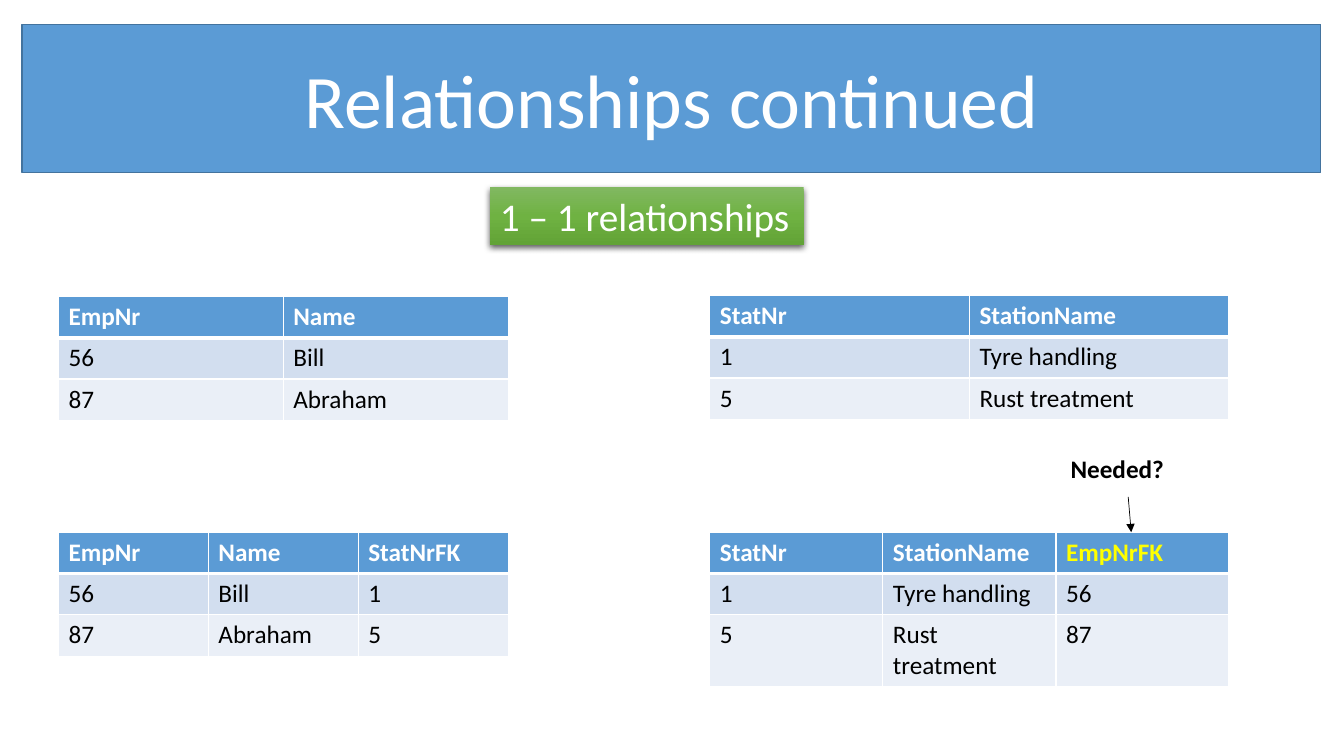
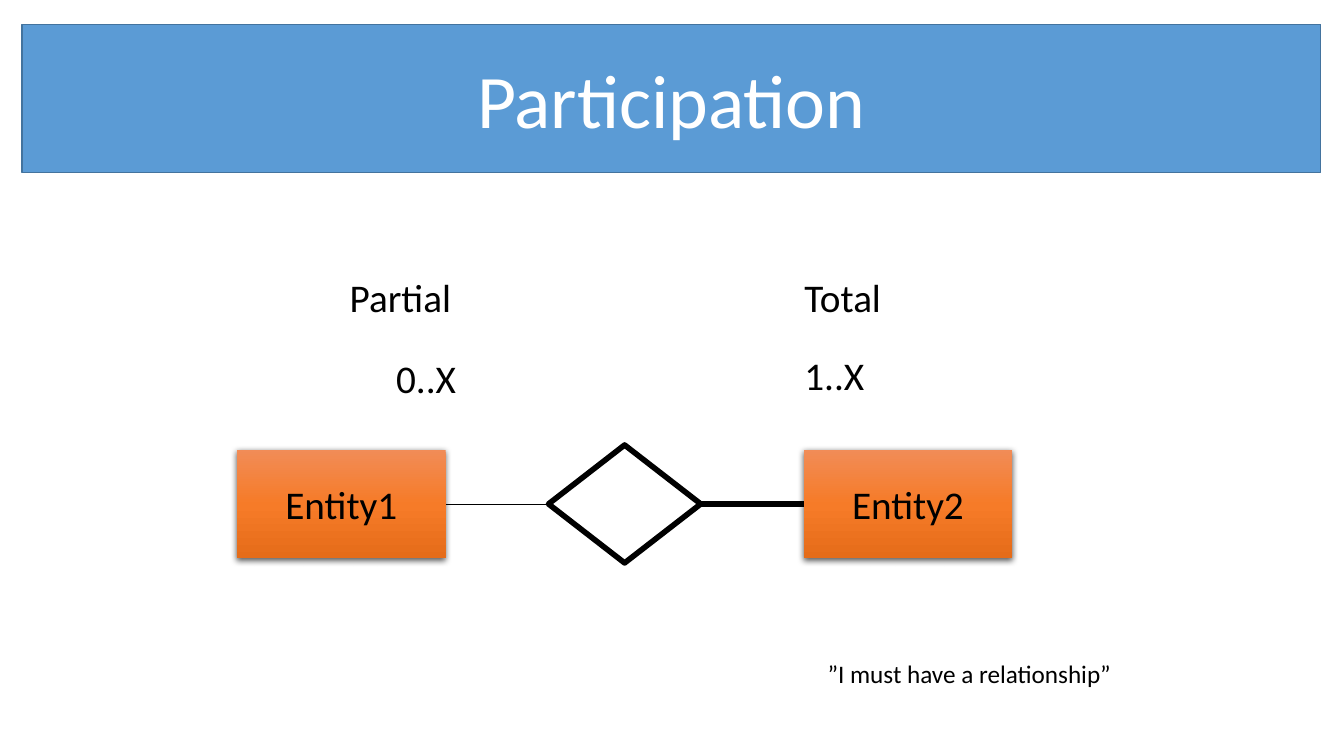
from copy import deepcopy

from pptx import Presentation
from pptx.dml.color import RGBColor
from pptx.enum.shapes import MSO_CONNECTOR, MSO_SHAPE
from pptx.enum.text import MSO_ANCHOR, PP_ALIGN
from pptx.oxml import parse_xml
from pptx.oxml.ns import nsdecls, qn
from pptx.util import Inches, Pt

WHITE = RGBColor(0xFF, 0xFF, 0xFF)
BLACK = RGBColor(0x00, 0x00, 0x00)
BLUE = RGBColor(0x5B, 0x9B, 0xD5)
EDGE = RGBColor(0x43, 0x73, 0x9E)
YELLOW = RGBColor(0xFF, 0xFF, 0x00)
BANDS = [RGBColor(0xD2, 0xDE, 0xEF), RGBColor(0xEA, 0xEF, 0xF7)]
GREENS = [RGBColor(0x81, 0xB8, 0x61), RGBColor(0x6F, 0xB2, 0x42),
          RGBColor(0x62, 0xA3, 0x36)]
ORANGES = [RGBColor(0xF1, 0x8C, 0x57), RGBColor(0xF6, 0x7B, 0x28),
           RGBColor(0xE5, 0x6C, 0x19)]

FONT = "Calibri"
ROW = 0.41
TITLE_ONLY = 5
RECT = MSO_SHAPE.RECTANGLE
DIAMOND = MSO_SHAPE.FLOWCHART_DECISION
STRAIGHT = MSO_CONNECTOR.STRAIGHT
CENTER = PP_ALIGN.CENTER
MIDDLE = MSO_ANCHOR.MIDDLE


def write(frame, text, size, color=BLACK, bold=False, align=None):
    par = frame.paragraphs[0]
    par.alignment = align
    run = par.add_run()
    run.text = text
    font = run.font
    font.name, font.size, font.bold = FONT, Pt(size), bold
    font.color.rgb = color


def new_slide(deck, text):
    """Add a slide with its title in the blue band."""
    slide = deck.slides.add_slide(deck.slide_layouts[TITLE_ONLY])
    title = slide.shapes.title
    title.left, title.top = Inches(0.22), Inches(0.24)
    title.width, title.height = Inches(12.88), Inches(1.47)
    title.fill.solid()
    title.fill.fore_color.rgb = BLUE
    title.line.color.rgb = EDGE
    title.line.width = Pt(1)
    title.text_frame.vertical_anchor = MIDDLE
    write(title.text_frame, text, 54, WHITE, align=CENTER)
    return slide


def label(slide, text, x, y, w, h=0.57, size=28, color=BLACK, bold=False):
    box = slide.shapes.add_textbox(Inches(x), Inches(y), Inches(w), Inches(h))
    box.text_frame.word_wrap = False
    write(box.text_frame, text, size, color, bold)
    return box


def gloss(shape, colors):
    """Give a shape a three-stop vertical gradient and a soft shadow."""
    shape.fill.gradient()
    shape.fill.gradient_angle = 270
    props = shape.element.spPr
    stops = props.find(qn("a:gradFill")).find(qn("a:gsLst"))
    stops.insert(1, deepcopy(stops[0]))
    for stop, color, place in zip(shape.fill.gradient_stops, colors, (0, 0.5, 1)):
        stop.color.rgb = color
        stop.position = place
    shape.line.fill.background()
    shape.shadow.inherit = False
    props.find(qn("a:effectLst")).append(parse_xml(
        f'<a:outerShdw {nsdecls("a")} blurRad="{Pt(4.5)}" dist="{Pt(1.5)}" '
        'dir="5400000" algn="ctr" rotWithShape="0"><a:srgbClr val="000000">'
        '<a:alpha val="63000"/></a:srgbClr></a:outerShdw>'))


def link(slide, x1, y1, x2, y2, width=0.5, arrow=False):
    line = slide.shapes.add_connector(
        STRAIGHT, Inches(x1), Inches(y1), Inches(x2), Inches(y2))
    line.line.color.rgb = BLACK
    line.line.width = Pt(width)
    if arrow:
        line.element.spPr.find(qn("a:ln")).append(
            parse_xml(f'<a:tailEnd {nsdecls("a")} type="triangle"/>'))
    line.element.spPr.append(parse_xml(f'<a:effectLst {nsdecls("a")}/>'))


def border(cell, row):
    """Draw white cell borders, thick below the header row."""
    widths = {"L": 1, "R": 1, "T": 3 if row == 1 else 1, "B": 1 if row else 3}
    props = cell._tc.get_or_add_tcPr()
    for side, width in widths.items():
        props.append(parse_xml(
            f'<a:ln{side} {nsdecls("a")} w="{Pt(width)}"><a:solidFill>'
            f'<a:srgbClr val="{WHITE}"/></a:solidFill></a:ln{side}>'))


def grid(slide, x, y, w, rows, marked=None):
    """Place a table; the header named by marked is yellow."""
    count = len(rows[0])
    table = slide.shapes.add_table(
        len(rows), count, Inches(x), Inches(y),
        Inches(w), Inches(ROW * len(rows))).table
    for col in table.columns:
        col.width = Inches(w / count)
    for r, texts in enumerate(rows):
        table.rows[r].height = Inches(ROW)
        for c, text in enumerate(texts):
            cell = table.cell(r, c)
            border(cell, r)
            cell.fill.solid()
            cell.fill.fore_color.rgb = BANDS[(r - 1) % 2] if r else BLUE
            head = YELLOW if text == marked else WHITE
            write(cell.text_frame, text, 18, BLACK if r else head, bold=r == 0)


def entity(slide, text, x, y, w, h):
    box = slide.shapes.add_shape(RECT, Inches(x), Inches(y), Inches(w), Inches(h))
    gloss(box, ORANGES)
    box.text_frame.vertical_anchor = MIDDLE
    write(box.text_frame, text, 28, align=CENTER)


def diagram(slide, x, mid):
    """Draw two entities joined through a diamond, centred on height mid."""
    wide, high, gap, span, tall = 2.07, 1.08, 1.02, 1.51, 1.17
    left = x + wide + gap
    right = left + span
    entity(slide, "Entity1", x, mid - high / 2, wide, high)
    entity(slide, "Entity2", right + gap, mid - high / 2, wide, high)
    shape = slide.shapes.add_shape(
        DIAMOND, Inches(left), Inches(mid - tall / 2), Inches(span), Inches(tall))
    shape.shadow.inherit = False
    shape.fill.solid()
    shape.fill.fore_color.rgb = WHITE
    shape.line.color.rgb = BLACK
    shape.line.width = Pt(4)
    link(slide, right, mid, right + gap, mid, 3.75)
    link(slide, left, mid, left - gap, mid)


def relations(deck):
    slide = new_slide(deck, "Relationships continued")
    staff = [["EmpNr", "Name"], ["56", "Bill"], ["87", "Abraham"]]
    posts = [["StatNr", "StationName"], ["1", "Tyre handling"],
             ["5", "Rust treatment"]]

    def join(rows, keys):
        return [row + [key] for row, key in zip(rows, keys)]

    grid(slide, 0.58, 2.94, 4.46, staff)
    grid(slide, 7.04, 2.93, 5.15, posts)
    grid(slide, 0.58, 5.28, 4.46, join(staff, ["StatNrFK", "1", "5"]))
    grid(slide, 7.04, 5.28, 5.15, join(posts, ["EmpNrFK", "56", "87"]), "EmpNrFK")
    link(slide, 11.19, 4.93, 11.22, 5.28, arrow=True)
    label(slide, "Needed?", 10.52, 4.45, 1.13, 0.4, 18, bold=True)
    badge = label(slide, "1 – 1 relationships", 4.86, 1.86, 3.11, color=WHITE)
    gloss(badge, GREENS)


def participation(deck):
    slide = new_slide(deck, "Participation")
    diagram(slide, 2.35, 5)
    label(slide, "Partial", 3.37, 2.66, 1.22)
    label(slide, "Total", 7.88, 2.66, 0.97)
    label(slide, "0..X", 3.83, 3.47, 0.81)
    label(slide, "1..X", 7.88, 3.44, 0.81)
    label(slide, "”I must have a relationship”", 8.11, 6.48, 3.04, 0.4, 18)


def main():
    deck = Presentation()
    deck.slide_width, deck.slide_height = Inches(13.33), Inches(7.5)
    relations(deck)
    participation(deck)
    deck.save("out.pptx")


if __name__ == "__main__":
    main()
